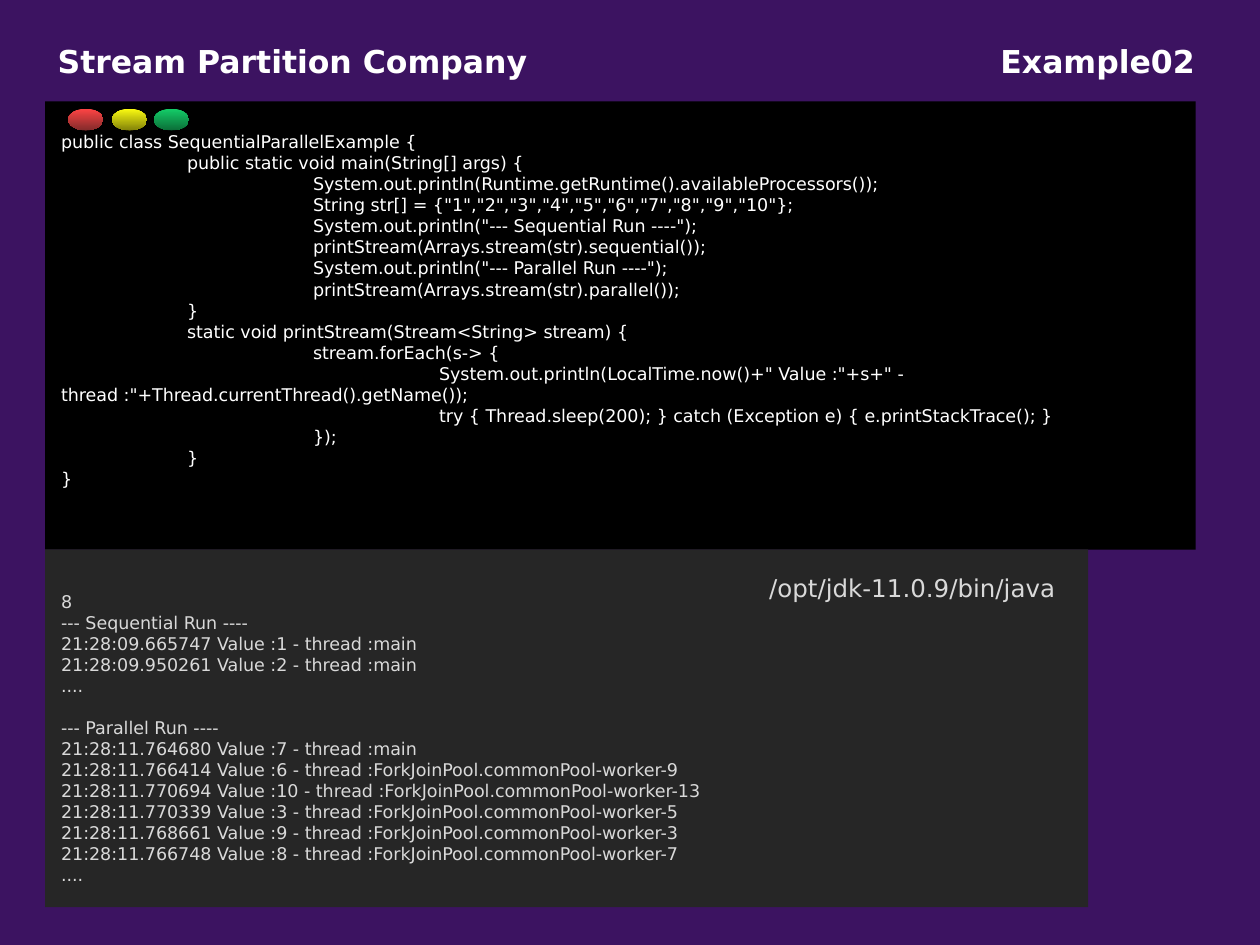
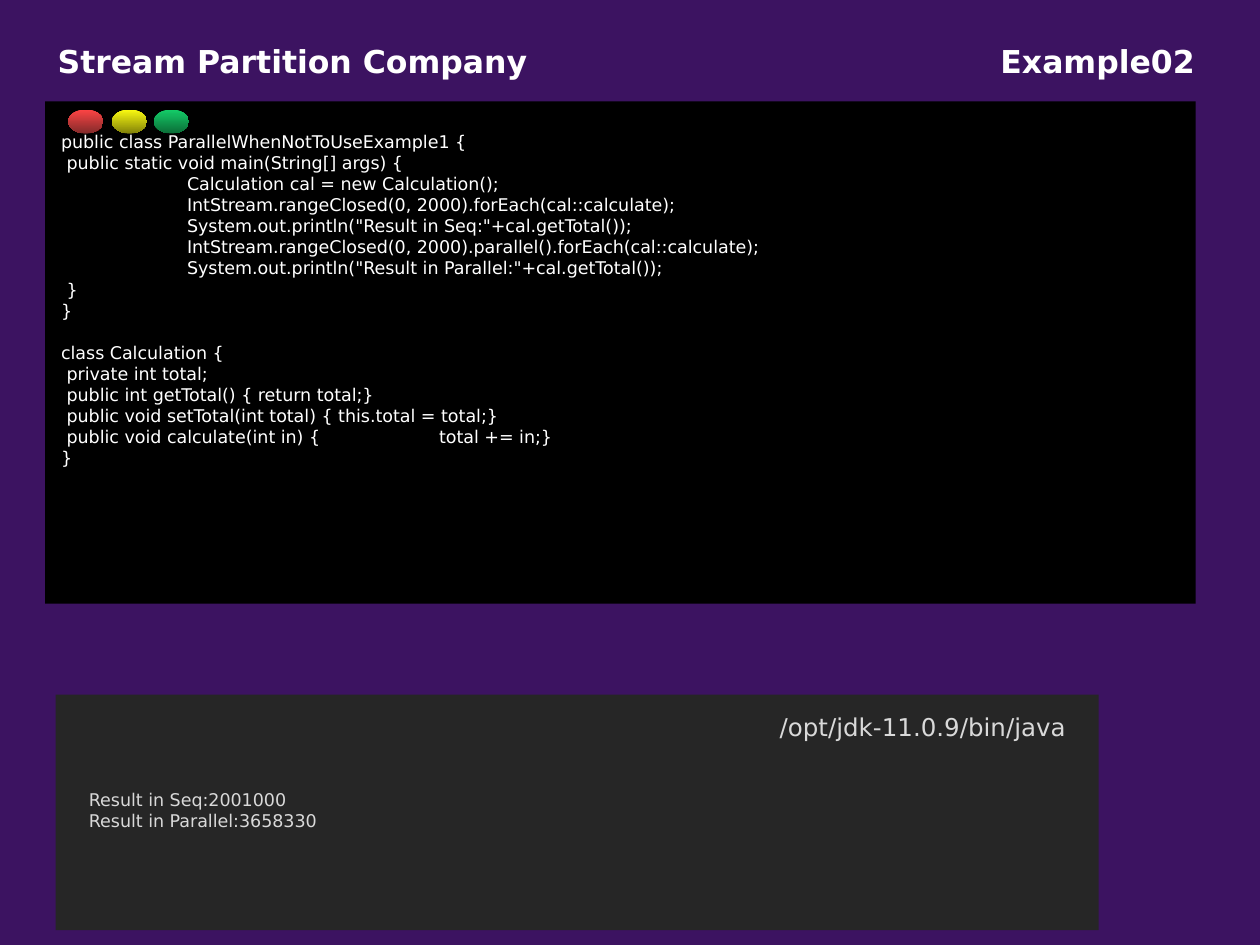
from lxml import etree
from pptx import Presentation
from pptx.dml import color
from pptx.enum import shapes, text
from pptx.oxml import ns
from pptx.util import Pt

BACKGROUND, CODE_FILL, OUTPUT_FILL = "3C1361", "000000", "262626"
WHITE, GREY = "FFFFFF", "D9D9D9"
FONT = "DejaVu Sans"
LIGHTS = ((39, "FE4444", "832B2B"), (64, "FBFB11", "838309"), (88, "14CD68", "0B6E38"))
LINE = 12
TAB = 72

SEQUENTIAL_CODE = '''public class SequentialParallelExample {
\tpublic static void main(String[] args) {
\t\tSystem.out.println(Runtime.getRuntime().availableProcessors());
\t\tString str[] = {"1","2","3","4","5","6","7","8","9","10"};
\t\tSystem.out.println("--- Sequential Run ----");
\t\tprintStream(Arrays.stream(str).sequential());
\t\tSystem.out.println("--- Parallel Run ----");
\t\tprintStream(Arrays.stream(str).parallel());
\t}
\tstatic void printStream(Stream<String> stream) {
\t\tstream.forEach(s-> {
\t\t\tSystem.out.println(LocalTime.now()+" Value :"+s+" - thread :"+Thread.currentThread().getName());
\t\t\ttry { Thread.sleep(200); } catch (Exception e) { e.printStackTrace(); }
\t\t});
\t}
}'''

SEQUENTIAL_OUTPUT = '''8
--- Sequential Run ----
21:28:09.665747 Value :1 - thread :main
21:28:09.950261 Value :2 - thread :main
....

--- Parallel Run ----
21:28:11.764680 Value :7 - thread :main
21:28:11.766414 Value :6 - thread :ForkJoinPool.commonPool-worker-9
21:28:11.770694 Value :10 - thread :ForkJoinPool.commonPool-worker-13
21:28:11.770339 Value :3 - thread :ForkJoinPool.commonPool-worker-5
21:28:11.768661 Value :9 - thread :ForkJoinPool.commonPool-worker-3
21:28:11.766748 Value :8 - thread :ForkJoinPool.commonPool-worker-7
....'''

TOTAL_CODE = '''public class ParallelWhenNotToUseExample1 {
 public static void main(String[] args) {
\tCalculation cal = new Calculation();
\tIntStream.rangeClosed(0, 2000).forEach(cal::calculate);
\tSystem.out.println("Result in Seq:"+cal.getTotal());
\tIntStream.rangeClosed(0, 2000).parallel().forEach(cal::calculate);
\tSystem.out.println("Result in Parallel:"+cal.getTotal());
 }
}

class Calculation {
 private int total;
 public int getTotal() { return total;}
 public void setTotal(int total) { this.total = total;}
 public void calculate(int in) {\ttotal += in;}
}'''

TOTAL_OUTPUT = '''Result in Seq:2001000
Result in Parallel:3658330'''


def rgb(value):
    """Turn a hex string into a colour."""
    return color.RGBColor.from_string(value)


def place(shape, left, top, width, height):
    """Move and size a shape, in points."""
    shape.left, shape.top = Pt(left), Pt(top)
    shape.width, shape.height = Pt(width), Pt(height)


def set_tabs(paragraph):
    """Give a paragraph three evenly spaced tab stops."""
    properties = paragraph._p.get_or_add_pPr()
    stops = etree.SubElement(properties, ns.qn("a:tabLst"))
    for number in (1, 2, 3):
        etree.SubElement(stops, ns.qn("a:tab"), pos=str(Pt(TAB * number)), algn="l")


def write(shape, content, size=10, ink=WHITE, bold=False, wrap=True, align=text.PP_ALIGN.LEFT):
    """Write lines as paragraphs; an empty line becomes space before the next one."""
    frame = shape.text_frame
    frame.word_wrap = wrap
    frame.auto_size = text.MSO_AUTO_SIZE.SHAPE_TO_FIT_TEXT
    frame.vertical_anchor = text.MSO_ANCHOR.TOP
    paragraph, gap = frame.paragraphs[0], 0
    for number, line in enumerate(content.split("\n")):
        if not line:
            gap += LINE
            continue
        if number:
            paragraph = frame.add_paragraph()
        paragraph.alignment = align
        paragraph.space_before = Pt(gap)
        gap = 0
        if "\t" in line:
            set_tabs(paragraph)
        run = paragraph.add_run()
        run.text = line
        run.font.name, run.font.size, run.font.bold = FONT, Pt(size), bold
        run.font.color.rgb = rgb(ink)


def add_text(parent, box, content, **style):
    """Add a text box with formatted text."""
    shape = parent.shapes.add_textbox(*map(Pt, box))
    write(shape, content, **style)


def add_form(group, kind, box, fill, fade=None):
    """Add a borderless shape, filled plain or fading downwards."""
    shape = group.shapes.add_shape(kind, *map(Pt, box))
    shape.shadow.inherit = False
    shape.line.fill.background()
    if fade:
        shape.fill.gradient()
        shape.fill.gradient_angle = 270
        for stop, shade in zip(shape.fill.gradient_stops, (fill, fade)):
            stop.color.rgb = rgb(shade)
    else:
        shape.fill.solid()
        shape.fill.fore_color.rgb = rgb(fill)


def add_code_window(slide, height, light_top, light_height, code):
    """Add the editor window with its three lights and the code."""
    group = slide.shapes.add_group_shape()
    add_form(group, shapes.MSO_SHAPE.RECTANGLE, (25.8, 58, 657.5, height), CODE_FILL)
    for left, bright, dark in LIGHTS:
        box = (left, light_top, 20, light_height)
        add_form(group, shapes.MSO_SHAPE.OVAL, box, bright, fade=dark)
    add_text(slide, (27.8, 71.5, 613.5, 213), code)


def add_output_window(slide, left, top, height, command_drop, output_box, output):
    """Add the terminal window with its command and the output."""
    group = slide.shapes.add_group_shape()
    add_form(group, shapes.MSO_SHAPE.RECTANGLE, (left, top, 596, height), OUTPUT_FILL)
    command_box = (left + 406.6, top + command_drop, 181, 24.5)
    add_text(group, command_box, "/opt/jdk-11.0.9/bin/java", size=14, ink=GREY)
    add_text(slide, output_box, output, ink=GREY)


def add_example_slide(presentation):
    """Add a slide with the shared heading and example label."""
    slide = presentation.slides.add_slide(presentation.slide_layouts[5])
    place(slide.shapes.title, 25.7, 20.4, 572, 29)
    write(slide.shapes.title, "Stream Partition Company", size=18, bold=True)
    add_text(slide, (564.5, 20.4, 125.5, 29), "Example02", size=18, bold=True,
             wrap=False, align=text.PP_ALIGN.CENTER)
    return slide


def main():
    """Build and save the presentation."""
    presentation = Presentation()
    presentation.slide_width, presentation.slide_height = Pt(720), Pt(540)
    background = presentation.slide_master.background.fill
    background.solid()
    background.fore_color.rgb = rgb(BACKGROUND)

    slide = add_example_slide(presentation)
    add_code_window(slide, 256.2, 62.2, 12.3, SEQUENTIAL_CODE)
    add_output_window(slide, 25.8, 314, 204.5, 10, (27.8, 334.2, 550, 177), SEQUENTIAL_OUTPUT)

    slide = add_example_slide(presentation)
    add_code_window(slide, 287, 62.6, 13.7, TOTAL_CODE)
    add_output_window(slide, 31.8, 397, 134.5, 6.5, (43.7, 447.4, 550, 31.5), TOTAL_OUTPUT)
    presentation.save("out.pptx")


main()
